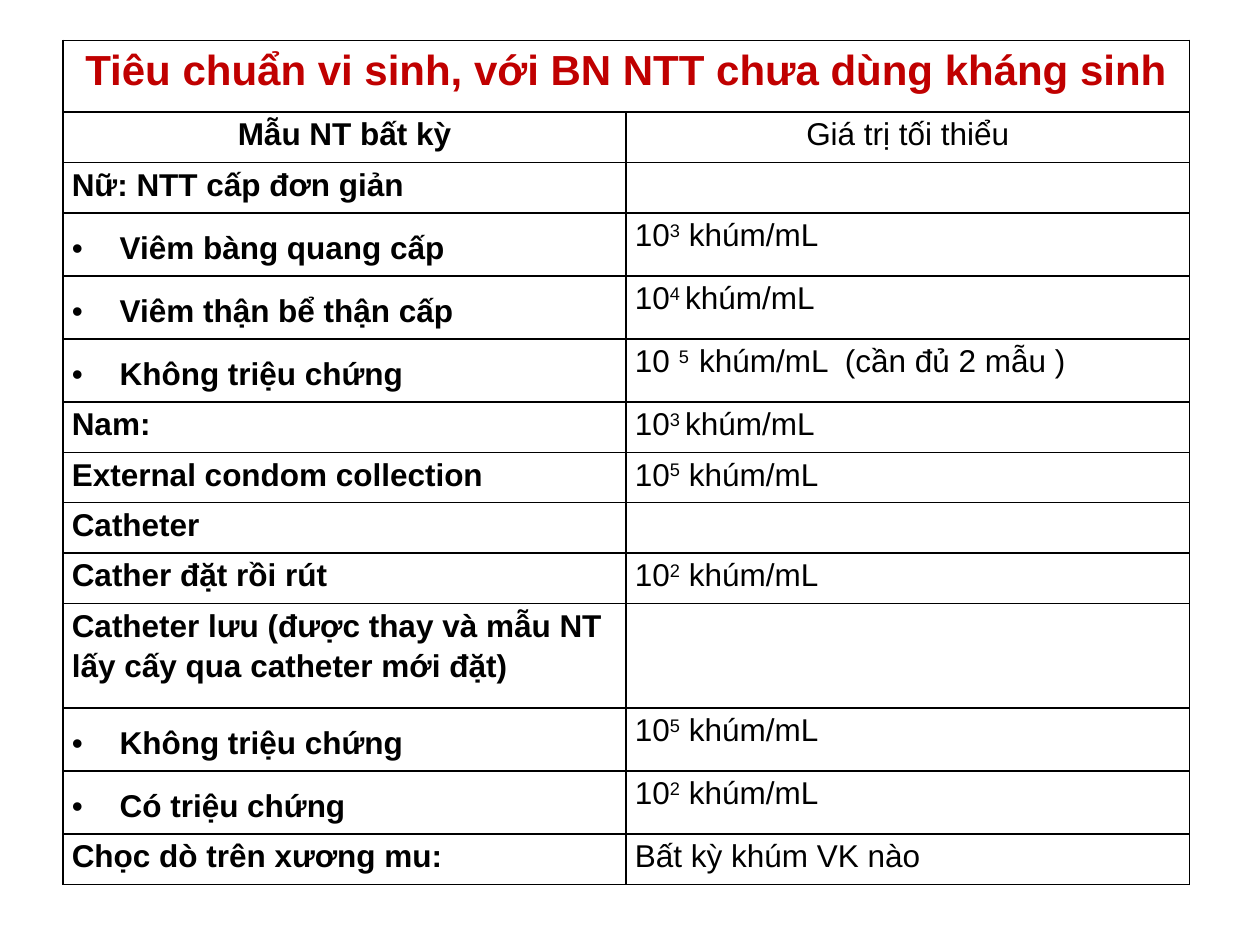
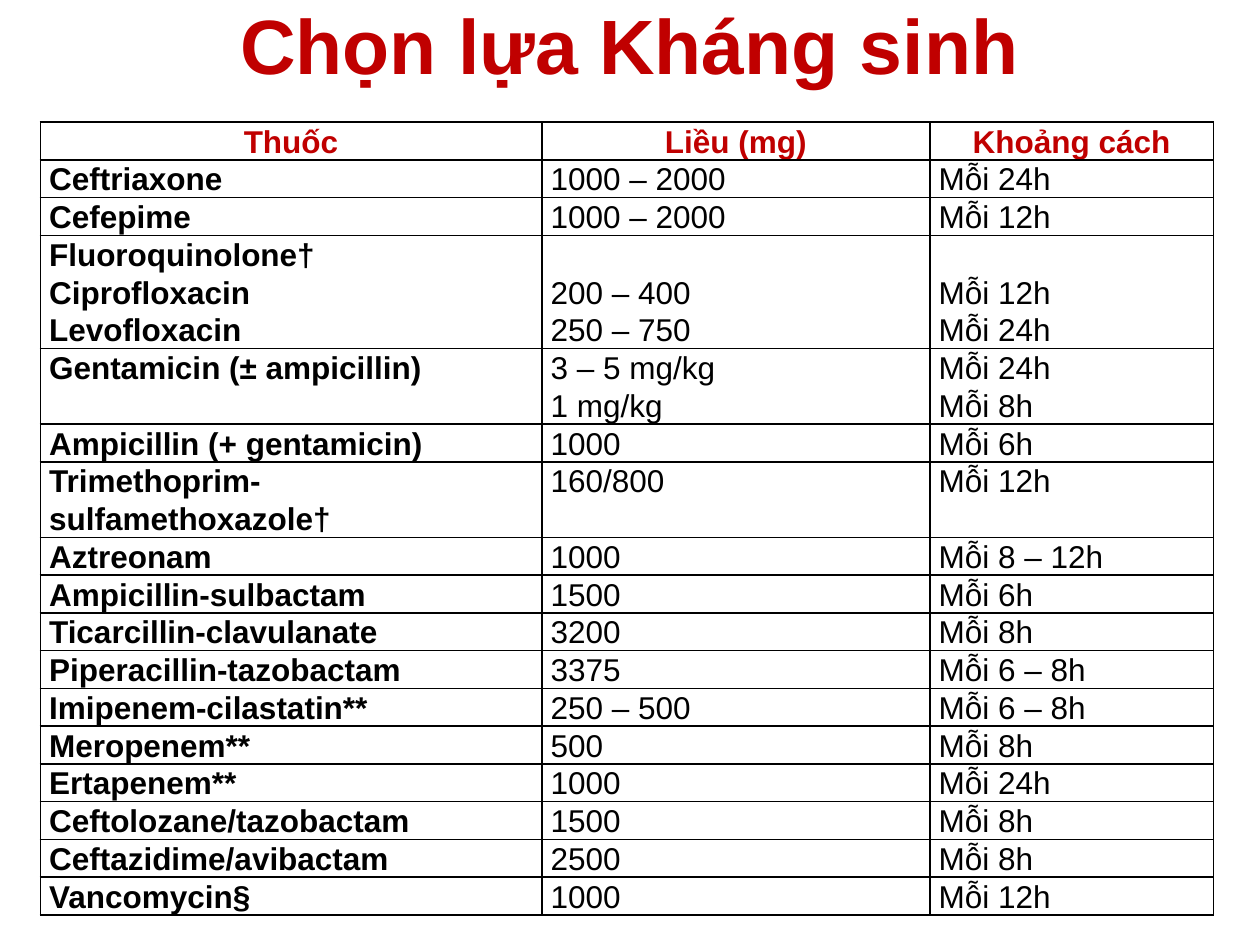
from lxml import etree
from pptx import Presentation
from pptx.dml.color import RGBColor
from pptx.enum.text import MSO_ANCHOR, PP_ALIGN
from pptx.oxml.ns import qn
from pptx.util import Inches, Pt

CENTER, LEFT, JUSTIFY = PP_ALIGN.CENTER, PP_ALIGN.LEFT, PP_ALIGN.JUSTIFY
TOP, MIDDLE, BOTTOM = MSO_ANCHOR.TOP, MSO_ANCHOR.MIDDLE, MSO_ANCHOR.BOTTOM
COLORS = {"heading": "C00000", "text": "000000", "border": "000000"}
FONT = "Arial"

# Slide 1: (kind, sample, minimum value, row height); ^...^ is superscript
CRITERIA_TITLE = "Tiêu chuẩn vi sinh, với BN NTT chưa dùng kháng sinh"
CRITERIA = [
    ("header", "Mẫu NT bất kỳ", "Giá trị tối thiểu", 0.4),
    ("group", "Nữ: NTT cấp đơn giản", "", 0.4),
    ("bullet", "Viêm bàng quang cấp", "10^3^ khúm/mL", 0.5),
    ("bullet", "Viêm thận bể thận cấp", "10^4 ^khúm/mL", 0.5),
    ("bullet", "Không triệu chứng", "10 ^5  ^khúm/mL  (cần đủ 2 mẫu )", 0.5),
    ("group", "Nam:", "10^3 ^khúm/mL", 0.4),
    ("group", "External condom collection", "10^5^ khúm/mL", 0.4),
    ("group", "Catheter", "", 0.4),
    ("group", "Cather đặt rồi rút", "10^2^ khúm/mL", 0.4),
    ("group", "Catheter lưu (được thay và mẫu NT lấy cấy qua catheter mới đặt)", "", 0.83),
    ("bullet", "Không triệu chứng", "10^5^ khúm/mL", 0.5),
    ("bullet", "Có triệu chứng", "10^2^ khúm/mL", 0.5),
    ("group", "Chọc dò trên xương mu:", "Bất kỳ khúm VK nào", 0.4),
]

# Slide 2: drug, dose, interval; a list holds several lines
DRUG_TITLE = "Chọn lựa Kháng sinh"
DRUG_HEADERS = ("Thuốc", "Liều (mg)", "Khoảng cách")
DRUGS = [
    ("Ceftriaxone", "1000 – 2000", "Mỗi 24h"),
    ("Cefepime", "1000 – 2000", "Mỗi 12h"),
    (["Fluoroquinolone†", "Ciprofloxacin", "Levofloxacin"],
     ["200 – 400", "250 – 750"], ["Mỗi 12h", "Mỗi 24h"]),
    ("Gentamicin (± ampicillin)", ["3 – 5 mg/kg", "1 mg/kg"], ["Mỗi 24h", "Mỗi 8h"]),
    ("Ampicillin (+ gentamicin)", "1000", "Mỗi 6h"),
    ("Trimethoprim-sulfamethoxazole†", "160/800", "Mỗi 12h"),
    ("Aztreonam", "1000", "Mỗi 8 – 12h"),
    ("Ampicillin-sulbactam", "1500", "Mỗi 6h"),
    ("Ticarcillin-clavulanate", "3200", "Mỗi 8h"),
    ("Piperacillin-tazobactam", "3375", "Mỗi 6 – 8h"),
    ("Imipenem-cilastatin**", "250 – 500", "Mỗi 6 – 8h"),
    ("Meropenem**", "500", "Mỗi 8h"),
    ("Ertapenem**", "1000", "Mỗi 24h"),
    ("Ceftolozane/tazobactam", "1500", "Mỗi 8h"),
    ("Ceftazidime/avibactam", "2500", "Mỗi 8h"),
    ("Vancomycin§", "1000", "Mỗi 12h"),
]
LINE_HEIGHT = 0.29


def as_lines(content):
    return content if isinstance(content, list) else [content]


def write_paragraph(paragraph, text, size=18, color="text", bold=False,
                    align=LEFT, spacing=1.0, after=0, bullet=False):
    """Fill one paragraph; every second part between ^ marks is raised."""
    if bullet:
        properties = paragraph._p.get_or_add_pPr()
        properties.set("marL", str(Inches(0.38)))
        properties.set("indent", str(-Inches(0.38)))
        etree.SubElement(properties, qn("a:buFont")).set("typeface", FONT)
        etree.SubElement(properties, qn("a:buChar")).set("char", "•")
    paragraph.alignment = align
    paragraph.line_spacing = spacing
    paragraph.space_before = Pt(0)
    paragraph.space_after = Pt(after)
    for index, part in enumerate(text.split("^")):
        if not part:
            continue
        run = paragraph.add_run()
        run.text = part
        run.font.name, run.font.size, run.font.bold = FONT, Pt(size), bold
        run.font.color.rgb = RGBColor.from_string(COLORS[color])
        if index % 2:
            run._r.get_or_add_rPr().set("baseline", "30000")


def write_cell(cell, content, anchor=TOP, **style):
    cell.vertical_anchor = anchor
    frame = cell.text_frame
    for index, line in enumerate(as_lines(content)):
        paragraph = frame.add_paragraph() if index else frame.paragraphs[0]
        write_paragraph(paragraph, line, **style)


def add_grid(slide, left, top, widths, heights):
    """Add a plain table with thin borders and no fill."""
    table_frame = slide.shapes.add_table(
        len(heights), len(widths), Inches(left), Inches(top),
        Inches(sum(widths)), Inches(sum(heights)))
    table = table_frame.table
    table.first_row = table.horz_banding = False
    for column, width in zip(table.columns, widths):
        column.width = Inches(width)
    for row, height in zip(table.rows, heights):
        row.height = Inches(height)
    for cell in table.iter_cells():
        cell.margin_left = cell.margin_right = Inches(0.07)
        cell.margin_top = cell.margin_bottom = 0
        properties = cell._tc.get_or_add_tcPr()
        for side in ("a:lnL", "a:lnR", "a:lnT", "a:lnB"):
            line = etree.SubElement(properties, qn(side), w=str(Pt(1)))
            fill = etree.SubElement(line, qn("a:solidFill"))
            etree.SubElement(fill, qn("a:srgbClr")).set("val", COLORS["border"])
        cell.fill.background()
    return table


def build_criteria_slide(presentation):
    slide = presentation.slides.add_slide(presentation.slide_layouts[6])
    heights = [0.57] + [row[-1] for row in CRITERIA]
    table = add_grid(slide, 0.5, 0.32, [4.47, 4.47], heights)
    table.cell(0, 0).merge(table.cell(0, 1))
    base = {"spacing": 1.15, "after": 10}
    write_cell(table.cell(0, 0), CRITERIA_TITLE, size=24, color="heading",
               bold=True, align=CENTER, **base)
    sample_styles = {
        "header": {**base, "align": CENTER},
        "group": base,
        "bullet": {"spacing": 1.5, "after": 12, "align": JUSTIFY, "bullet": True},
    }
    for index, (kind, sample, value, _) in enumerate(CRITERIA, start=1):
        write_cell(table.cell(index, 0), sample, bold=True, **sample_styles[kind])
        value_align = CENTER if kind == "header" else LEFT
        write_cell(table.cell(index, 1), value, align=value_align, **base)


def build_drug_slide(presentation):
    slide = presentation.slides.add_slide(presentation.slide_layouts[5])
    # Title
    title = slide.shapes.title
    title.left, title.top = Inches(0.69), 0
    title.width, title.height = Inches(8.62), Inches(0.78)
    title.text_frame.vertical_anchor = MIDDLE
    write_paragraph(title.text_frame.paragraphs[0], DRUG_TITLE, size=44,
                    color="heading", bold=True, align=CENTER, spacing=0.9)

    # Table: each row is as high as its longest cell
    rows = [DRUG_HEADERS] + DRUGS
    heights = [LINE_HEIGHT * max(len(as_lines(cell)) for cell in row) for row in rows]
    table = add_grid(slide, 0.32, 0.97, [3.98, 3.08, 2.25], heights)
    for row_index, row in enumerate(rows):
        header = row_index == 0
        for column_index, content in enumerate(row):
            # Values fewer than the names line up with the last names
            shorter = len(as_lines(content)) < len(as_lines(row[0]))
            write_cell(table.cell(row_index, column_index), content,
                       anchor=BOTTOM if shorter else TOP, spacing=1.07,
                       bold=header or column_index == 0,
                       color="heading" if header else "text",
                       align=CENTER if header else LEFT)


def main():
    presentation = Presentation()
    presentation.slide_width, presentation.slide_height = Inches(10), Inches(7.5)
    build_criteria_slide(presentation)
    build_drug_slide(presentation)
    presentation.save("out.pptx")


if __name__ == "__main__":
    main()
